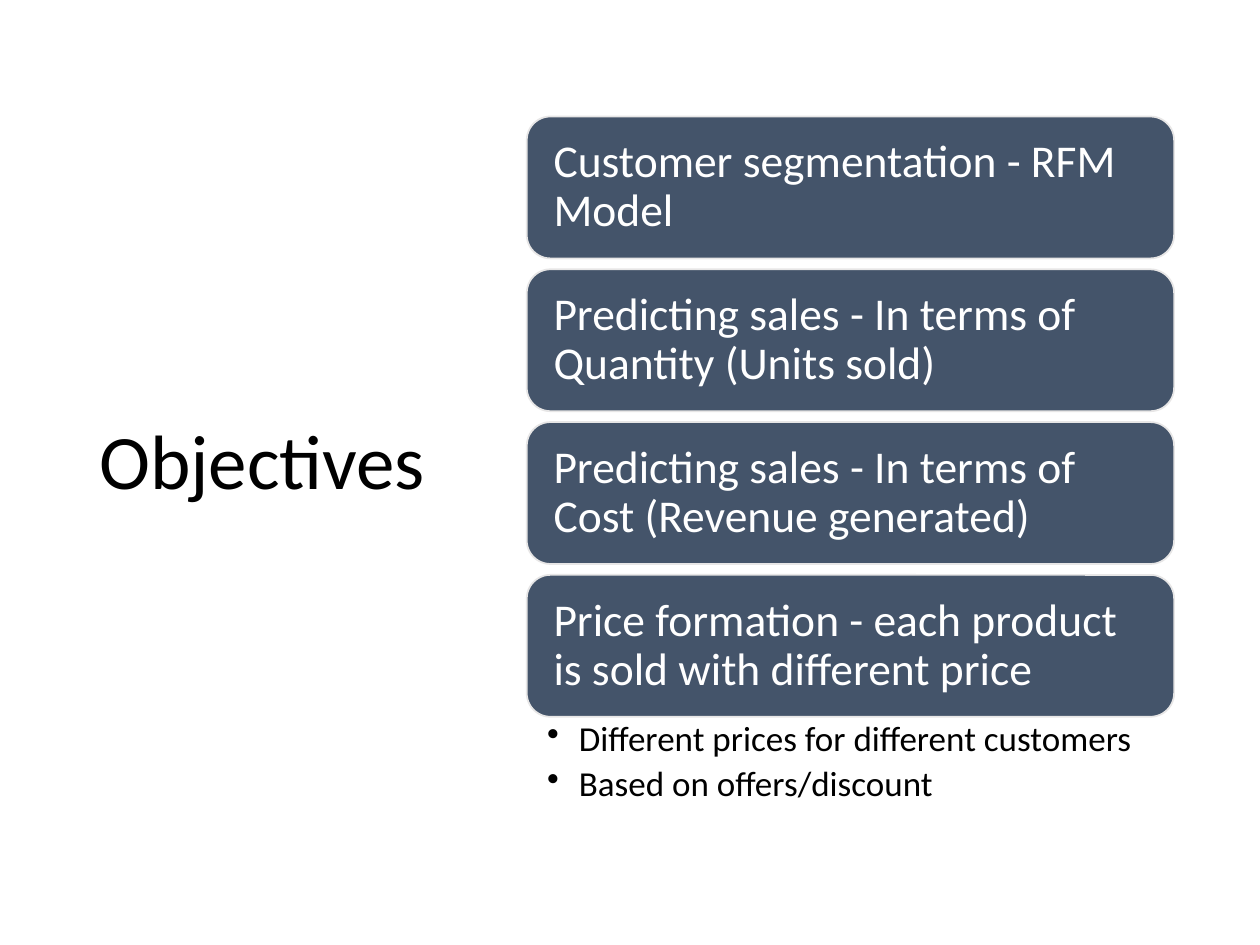
import pptx
import pptx.util
import pptx.dml.color
import pptx.enum.shapes
import pptx.enum.text
import lxml.etree
from pptx.util import Cm, Pt

SLATE = pptx.dml.color.RGBColor(0x44, 0x54, 0x6A)
PALE_GREY = pptx.dml.color.RGBColor(0xE7, 0xE6, 0xE6)
WHITE = pptx.dml.color.RGBColor(0xFF, 0xFF, 0xFF)
BLACK = pptx.dml.color.RGBColor(0x00, 0x00, 0x00)


def write_text(shape, *lines, size, color, insets, middle=True, bullet=False, gap=0):
    """Fill a shape with one paragraph per line; insets are left, top, right, bottom in cm."""
    frame = shape.text_frame
    frame.word_wrap = True
    anchors = pptx.enum.text.MSO_ANCHOR
    frame.vertical_anchor = anchors.MIDDLE if middle else anchors.TOP
    frame.margin_left, frame.margin_top, frame.margin_right, frame.margin_bottom = map(Cm, insets)
    for index, line in enumerate(lines):
        paragraph = frame.add_paragraph() if index else frame.paragraphs[0]
        paragraph.alignment = pptx.enum.text.PP_ALIGN.LEFT
        paragraph.line_spacing = 0.9
        paragraph.space_before = Pt(gap if index else 0)
        run = paragraph.add_run()
        run.text = line
        run.font.name = "Calibri"
        run.font.size = Pt(size)
        run.font.color.rgb = color
        if bullet:
            properties = paragraph._p.get_or_add_pPr()
            properties.set("marL", str(Cm(0.64)))
            properties.set("indent", str(-Cm(0.64)))
            mark = lxml.etree.SubElement(properties, pptx.oxml.ns.qn("a:buChar"))
            mark.set("char", "•")


presentation = pptx.Presentation()
presentation.slide_width = Cm(25.4)
presentation.slide_height = Cm(19.05)
slide = presentation.slides.add_slide(presentation.slide_layouts[6])

title = slide.shapes.add_textbox(Cm(1.75), Cm(1.73), Cm(7.7), Cm(15.29))
write_text(title, "Objectives", size=44, color=BLACK, insets=(0.25, 0.13, 0.25, 0.13))

objectives = [
    "Customer segmentation - RFM Model",
    "Predicting sales - In terms of Quantity (Units sold)",
    "Predicting sales - In terms of Cost (Revenue generated)",
    "Price formation - each product is sold with different price",
]
left, top, width, height, pitch = 10.62, 2.35, 13.05, 2.86, 3.08

for row, objective in enumerate(objectives):
    card = slide.shapes.add_shape(
        pptx.enum.shapes.MSO_SHAPE.ROUNDED_RECTANGLE,
        Cm(left), Cm(top + row * pitch), Cm(width), Cm(height))
    card.shadow.inherit = False
    card.fill.solid()
    card.fill.fore_color.rgb = SLATE
    card.line.color.rgb = PALE_GREY
    card.line.width = Pt(1)
    write_text(card, objective, size=26, color=WHITE, insets=(0.4, 0.4, 0.4, 0.4))

pricing_notes = slide.shapes.add_textbox(Cm(left), Cm(14.45), Cm(width), Cm(1.96))
write_text(pricing_notes, "Different prices for different customers", "Based on offers/discount",
           size=20, color=BLACK, insets=(0.41, 0.1, 0.5, 0.1),
           middle=False, bullet=True, gap=4)

presentation.save("out.pptx")
